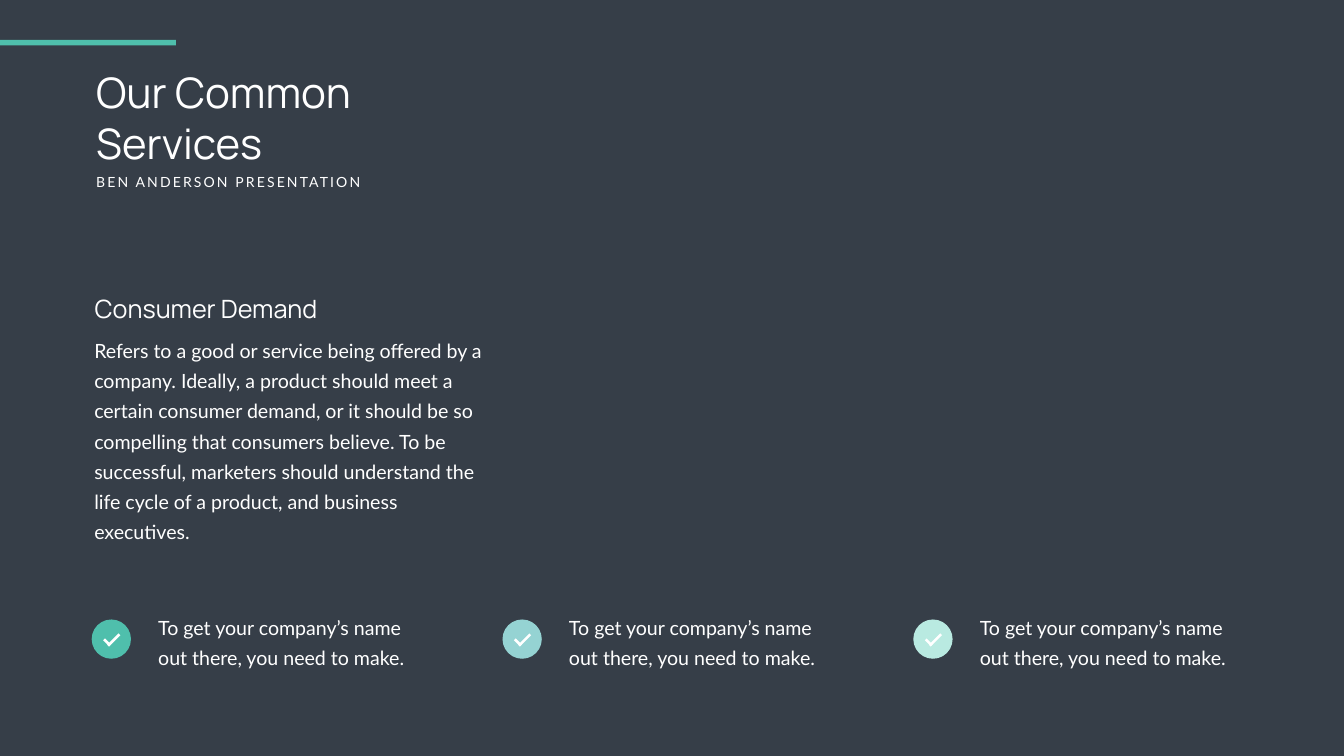
from pptx import Presentation
from pptx import util as u
from pptx.dml.color import RGBColor
from pptx.enum import shapes, text

SLATE = RGBColor(0x36, 0x3E, 0x48)
WHITE = RGBColor(0xFF, 0xFF, 0xFF)
GREEN = RGBColor(0x4F, 0xBF, 0xAC)
AQUA = RGBColor(0x95, 0xD3, 0xD3)
MINT = RGBColor(0xB9, 0xEA, 0xE1)

# Text, box (left, top, width, height in cm), style
TITLES = [
    ("Our Common Services", (4.6, 3.25, 15.54, 5.38), "title"),
    ("BEN ANDERSON PRESENTATION", (4.6, 8.64, 14.86, 1.12), "subtitle"),
]
DEMAND = [
    ("Refers to a good or service being offered by a company. Ideally, a product "
     "should meet a certain consumer demand, or it should be so compelling that "
     "consumers believe. To be successful, marketers should understand the life "
     "cycle of a product, and business executives.",
     (4.14, 16.46, 21.46, 9.63), "body"),
    ("Consumer Demand", (4.52, 14.66, 15.47, 1.8), "heading"),
]
SERVICES = [
    ("To get your company’s name out there, you need to make.", GREEN),
    ("To get your company’s name out there, you need to make.", AQUA),
    ("To get your company’s name out there, you need to make.", MINT),
]
STYLES = {
    "title": {"name": "Manrope", "size": u.Pt(60)},
    "subtitle": {"name": "Lato", "size": u.Pt(20)},
    "heading": {"name": "Manrope", "size": u.Pt(36)},
    "body": {"name": "Lato", "size": u.Pt(28)},
}
BODY_INSETS = {
    "margin_left": u.Cm(0.61), "margin_right": u.Cm(0.61),
    "margin_top": u.Cm(0.3), "margin_bottom": u.Cm(0.3),
}
ACCENT_BAR = (0, 2.01, 8.86, 0.28)
SERVICE_LEFT, SERVICE_TOP, SERVICE_PITCH = 4.62, 31.22, 20.7
# Parts of a service, relative to the top left of its circle
CIRCLE = (0, 0, 1.98, 1.98)
CHECK_STROKES = [((0.56, 1.09, 0.43, 0.13), 45), ((0.71, 0.97, 0.81, 0.13), 315)]
SERVICE_TEXT = (2.74, -0.82, 13.77, 3.53)


def set_all(obj, values):
    for name, value in values.items():
        setattr(obj, name, value)


def add_text(parent, content, box, style):
    sp = parent.add_textbox(*map(u.Cm, box))
    tf = sp.text_frame
    tf.word_wrap = True
    tf.auto_size = text.MSO_AUTO_SIZE.SHAPE_TO_FIT_TEXT
    p = tf.paragraphs[0]
    r = p.add_run()
    r.text = content
    set_all(r.font, STYLES[style])
    r.font.color.rgb = WHITE
    if style == "body":
        set_all(tf, BODY_INSETS)
        p.line_spacing = u.Pt(43)
    if style == "subtitle":
        r.font._element.set("spc", "300")


def add_filled(parent, kind, box, color, rotation=0):
    sp = parent.add_shape(kind, *map(u.Cm, box))
    sp.shadow.inherit = False
    sp.fill.solid()
    sp.fill.fore_color.rgb = color
    sp.line.fill.background()
    sp.rotation = rotation


def add_service(parent, content, color, left):
    def place(box):
        return (left + box[0], SERVICE_TOP + box[1], *box[2:])

    add_text(parent, content, place(SERVICE_TEXT), "body")
    add_filled(parent, shapes.MSO_SHAPE.OVAL, place(CIRCLE), color)
    for box, angle in CHECK_STROKES:
        add_filled(parent, shapes.MSO_SHAPE.RECTANGLE, place(box), WHITE, angle)


def main():
    prs = Presentation()
    prs.slide_width, prs.slide_height = u.Cm(67.72), u.Cm(38.1)
    s = prs.slides.add_slide(prs.slide_layouts[6])
    s.background.fill.solid()
    s.background.fill.fore_color.rgb = SLATE

    add_filled(s.shapes, shapes.MSO_SHAPE.RECTANGLE, ACCENT_BAR, GREEN)
    for item in TITLES:
        add_text(s.shapes, *item)
    for i, (content, color) in enumerate(SERVICES):
        group = s.shapes.add_group_shape()
        add_service(group.shapes, content, color, SERVICE_LEFT + i * SERVICE_PITCH)
    group = s.shapes.add_group_shape()
    for item in DEMAND:
        add_text(group.shapes, *item)

    prs.save("out.pptx")


if __name__ == "__main__":
    main()
